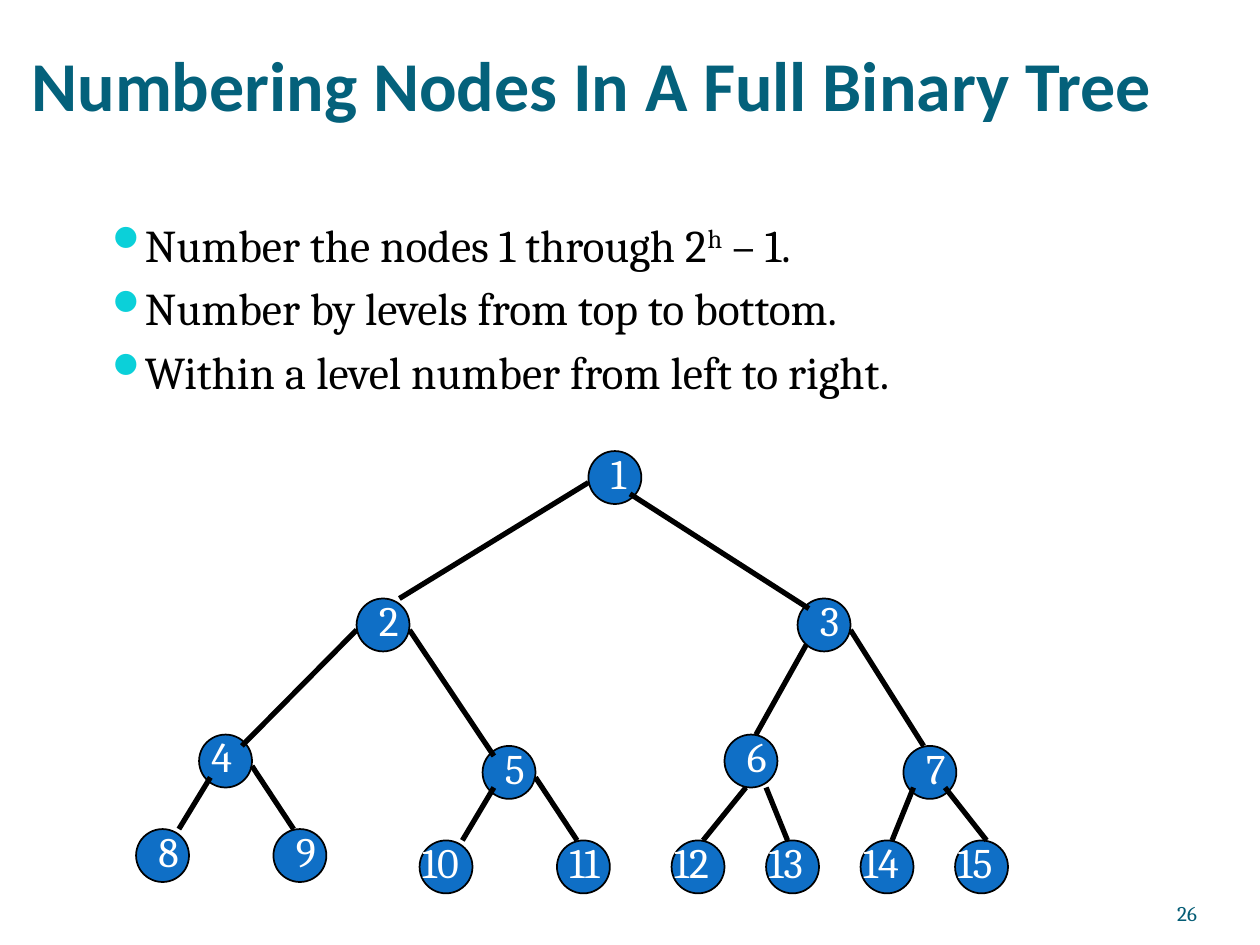
from lxml import etree
from pptx import Presentation
from pptx.dml.color import RGBColor
from pptx.enum.shapes import MSO_CONNECTOR, MSO_SHAPE
from pptx.enum.text import MSO_ANCHOR, MSO_AUTO_SIZE, PP_ALIGN
from pptx.oxml.ns import qn
from pptx.util import Inches, Pt

OVAL, STRAIGHT = MSO_SHAPE.OVAL, MSO_CONNECTOR.STRAIGHT
LEFT, RIGHT = PP_ALIGN.LEFT, PP_ALIGN.RIGHT
TOP, BOTTOM = MSO_ANCHOR.TOP, MSO_ANCHOR.BOTTOM

TEAL = RGBColor(0x04, 0x61, 0x7B)
NUMBER_TEAL = RGBColor(0x04, 0x5C, 0x75)
NODE_BLUE = RGBColor(0x0F, 0x6F, 0xC6)
BLACK = RGBColor(0, 0, 0)
WHITE = RGBColor(255, 255, 255)
BULLET_COLOUR = "0BD0D9"

TITLE = "Numbering Nodes In A Full Binary Tree"
PAGE = "26"
# Each point is a list of (text, is superscript)
POINTS = [
    [("Number the nodes 1 through 2", False), ("h", True), (" – 1.", False)],
    [("Number by levels from top to bottom.", False)],
    [("Within a level number from left to right.", False)],
]

DIAMETER = 0.42
# Node number: left, top of its circle
NODES = {
    1: (4.67, 3.58),
    2: (2.83, 4.75), 3: (6.33, 4.75),
    4: (1.58, 5.83), 5: (3.83, 5.92), 6: (5.75, 5.83), 7: (7.17, 5.92),
    8: (1.08, 6.58), 9: (2.17, 6.58), 10: (3.33, 6.67), 11: (4.42, 6.67),
    12: (5.33, 6.67), 13: (6.08, 6.67), 14: (6.83, 6.67), 15: (7.58, 6.67),
}
# Child number: edge from parent end to child end
EDGES = {
    2: (4.67, 3.83, 3.17, 4.75), 3: (5, 3.92, 6.42, 4.83),
    4: (2.83, 5, 1.92, 5.92), 5: (3.25, 5, 3.92, 6),
    6: (6.42, 5.08, 6, 5.83), 7: (6.75, 5, 7.33, 5.92),
    8: (1.67, 6.17, 1.42, 6.58), 9: (2, 6.08, 2.33, 6.58),
    10: (3.92, 6.25, 3.67, 6.67), 11: (4.25, 6.17, 4.58, 6.67),
    12: (5.92, 6.25, 5.58, 6.67), 13: (6.08, 6.25, 6.25, 6.67),
    14: (7.25, 6.25, 7.08, 6.67), 15: (7.5, 6.25, 7.83, 6.67),
}
# Back to front: the upper circles cover the ends of the edges below them
LAYERS = [range(4, 8), range(1, 4), range(8, 16)]
LABEL_SHIFT = 0.08
UNSHIFTED_LABELS = (4, 11)

TITLE_FONT = {"name": "Calibri", "size": Pt(40), "bold": True}
POINT_FONT = {"name": "Cambria", "size": Pt(26)}
LABEL_FONT = {"name": "Cambria", "size": Pt(24)}
PAGE_FONT = {"name": "Cambria", "size": Pt(12)}


def style_font(font, values, colour):
    for key, value in values.items():
        setattr(font, key, value)
    font.color.rgb = colour


def set_frame(frame, insets, anchor=TOP):
    frame.word_wrap = True
    frame.auto_size = MSO_AUTO_SIZE.NONE
    frame.vertical_anchor = anchor
    for side, inset in zip(("left", "top", "right", "bottom"), insets):
        setattr(frame, f"margin_{side}", Inches(inset))


def add_text(slide, box, insets=(0.1, 0.05, 0.1, 0.05), anchor=TOP):
    frame = slide.shapes.add_textbox(*map(Inches, box)).text_frame
    set_frame(frame, insets, anchor)
    return frame


def add_line_of_text(frame, text, font, colour, align=LEFT):
    paragraph = frame.paragraphs[0]
    paragraph.alignment = align
    run = paragraph.add_run()
    run.text = text
    style_font(run.font, font, colour)


def add_bullet(paragraph):
    properties = paragraph._p.get_or_add_pPr()
    properties.set("marL", str(Inches(0.3)))
    properties.set("indent", str(Inches(-0.3)))
    colour = etree.SubElement(properties, qn("a:buClr"))
    etree.SubElement(colour, qn("a:srgbClr"), val=BULLET_COLOUR)
    etree.SubElement(properties, qn("a:buChar"), char="⚫")


def add_points(slide):
    frame = add_text(slide, (0.75, 1.67, 8.5, 2))
    for index, point in enumerate(POINTS):
        paragraph = frame.add_paragraph() if index else frame.paragraphs[0]
        add_bullet(paragraph)
        if index:
            paragraph.space_before = Pt(5.2)
        for text, superscript in point:
            run = paragraph.add_run()
            run.text = text
            style_font(run.font, POINT_FONT, BLACK)
            if superscript:
                run._r.get_or_add_rPr().set("baseline", "30000")


def add_node(slide, number):
    left, top = NODES[number]
    node = slide.shapes.add_shape(
        OVAL, *map(Inches, (left, top, DIAMETER, DIAMETER)))
    node.shadow.inherit = False
    node.fill.solid()
    node.fill.fore_color.rgb = NODE_BLUE
    node.line.color.rgb = BLACK
    node.line.width = Pt(1)


def add_edge(slide, child):
    edge = slide.shapes.add_connector(STRAIGHT, *map(Inches, EDGES[child]))
    edge.line.color.rgb = BLACK
    edge.line.width = Pt(3)
    etree.SubElement(edge._element.spPr, qn("a:effectLst"))


def add_label(slide, number):
    left, top = NODES[number]
    two_digits = number > 9
    if number not in UNSHIFTED_LABELS:
        left += -LABEL_SHIFT if two_digits else LABEL_SHIFT
    width = 0.67 if two_digits else 0.33
    frame = add_text(slide, (left, top - LABEL_SHIFT, width, 0.5))
    add_line_of_text(frame, str(number), LABEL_FONT, WHITE)


def main():
    deck = Presentation()
    deck.slide_width, deck.slide_height = Inches(10), Inches(7.5)
    slide = deck.slides.add_slide(deck.slide_layouts[5])

    title = slide.shapes.title
    title.left, title.top, title.width, title.height = map(
        Inches, (0.25, -0.25, 9.42, 1.25))
    set_frame(title.text_frame, (0, 0.05, 0, 0), BOTTOM)
    add_line_of_text(title.text_frame, TITLE, TITLE_FONT, TEAL)

    add_points(slide)
    for layer in LAYERS:
        for number in layer:
            add_node(slide, number)
        for number in layer:
            if number in EDGES:
                add_edge(slide, number)
    for number in NODES:
        add_label(slide, number)

    page = add_text(slide, (8.67, 6.95, 0.83, 0.4), (0, 0, 0, 0), BOTTOM)
    add_line_of_text(page, PAGE, PAGE_FONT, NUMBER_TEAL, RIGHT)
    deck.save("out.pptx")


if __name__ == "__main__":
    main()
